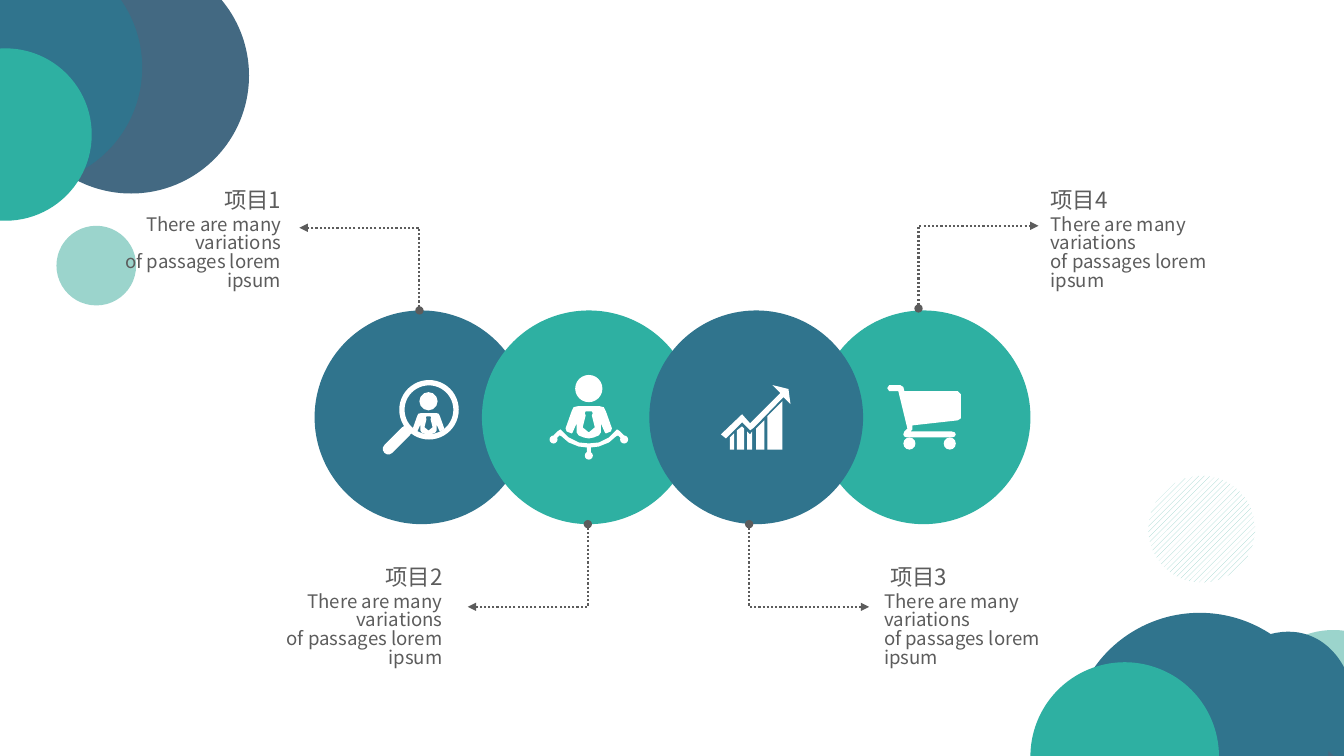
from lxml import etree
from pptx import Presentation
from pptx import util as u
from pptx.dml.color import RGBColor
from pptx.enum import dml, shapes, text
from pptx.oxml import ns

COLORS = {"mint": "9BD4CC", "blue": "30748D", "slate": "436982",
          "teal": "2EB0A2", "white": "FFFFFF", "ink": "5C5C5C"}
FONT = "Noto Sans CJK SC"
BODY = "There are many variations\nof passages lorem ipsum"
OVAL = shapes.MSO_SHAPE.OVAL
DISC, DISC_LEFT, DISC_TOP, DISC_STEP = 2.12, 3.12, 3.08, 1.66

# Left, top, width, height, rotation, colour
TOP_CIRCLES = [
    (0.56, 2.24, 0.79, 0.79, 0, "mint"), (-0.19, -1.29, 1.51, 1.51, 0, "mint"),
    (-0.51, -0.61, 2.16, 1.51, 47.3, "blue"), (0.13, -0.42, 2.34, 2.34, 0, "slate"),
    (-0.93, -0.5, 2.34, 2.34, 0, "blue"), (-0.8, 0.48, 1.71, 1.71, 0, "teal")]
BOTTOM_CIRCLES = [
    (12.4, 6.25, 1.65, 1.65, 0, "mint"), (11.39, 6.59, 2.37, 1.65, 110.1, "blue"),
    (11.07, 7.15, 2.56, 2.56, 0, "slate"), (10.62, 6.08, 2.56, 2.56, 0, "blue"),
    (10.22, 6.57, 1.87, 1.87, 0, "teal")]

# Icon outlines in inches; the mirrored ones list their right half only
TORSO = [(0.11, 0.31), (0.15, 0.32), (0.17, 0.36), (0.23, 0.53), (0.22, 0.56),
         (0.17, 0.58), (0.16, 0.57), (0.12, 0.48), (0.12, 0.57), (0.1, 0.6),
         (0.05, 0.62), (0, 0.63)]
TIE = [(0.03, 0.36), (0.04, 0.38), (0.03, 0.4), (0.06, 0.52), (0, 0.57)]
BOW = [(0, 0.26), (0.1, 0.25), (0.2, 0.2), (0.26, 0.14), (0.28, 0.12), (0.31, 0.14),
       (0.35, 0.18), (0.33, 0.22), (0.29, 0.18), (0.27, 0.19), (0.2, 0.25),
       (0.1, 0.29), (0.02, 0.3), (0.02, 0.36)]
BAR_TOPS = [
    [(-0.26, 0.2), (-0.22, 0.16)],
    [(-0.19, 0.13), (-0.14, 0.09), (-0.12, 0.11)],
    [(-0.09, 0.14), (-0.06, 0.17), (-0.04, 0.14)],
    [(0, 0.11), (0.08, 0.03)],
    [(0.11, -0.01), (0.26, -0.16)]]
ARROW = [(0.27, -0.2), (0.34, -0.13), (0.32, -0.28), (0.16, -0.32), (0.24, -0.24),
         (-0.06, 0.06), (-0.14, -0.03), (-0.35, 0.17), (-0.3, 0.21), (-0.14, 0.05),
         (-0.06, 0.13), (-0.02, 0.1)]
CART = [(0.37, 0.01), (0.34, 0.03), (-0.11, 0.08), (-0.11, 0.12), (-0.13, 0.14),
        (0.28, 0.14), (0.31, 0.15), (0.32, 0.17), (0.31, 0.19), (0.28, 0.2),
        (-0.16, 0.2), (-0.19, 0.19), (-0.2, 0.17), (-0.19, 0.14), (-0.16, 0.11),
        (-0.25, -0.26), (-0.34, -0.26), (-0.36, -0.29), (-0.34, -0.32),
        (-0.23, -0.32), (-0.2, -0.3), (-0.19, -0.26), (0.34, -0.26), (0.37, -0.23)]


def color(name):
    return RGBColor.from_string(COLORS[name])


def paint(shape, name):
    shape.shadow.inherit = False
    shape.fill.solid()
    shape.fill.fore_color.rgb = color(name)
    shape.line.fill.background()
    return shape


def add_figure(parent, kind, left, top, width, height, name="white", rotation=0):
    box = [u.Inches(value) for value in (left, top, width, height)]
    shape = paint(parent.add_shape(kind, *box), name)
    shape.rotation = rotation
    return shape


def mirror(half):
    return half + [(-x, y) for x, y in reversed(half)]


def add_outline(parent, x, y, contours, scale=1):
    """Draw white closed contours placed around the point x, y."""
    rings = [[(u.Inches(x + dx * scale), u.Inches(y + dy * scale)) for dx, dy in ring]
             for ring in contours]
    builder = parent.build_freeform(*rings[0][0], scale=1.0)
    for number, ring in enumerate(rings):
        if number:
            builder.move_to(*ring[0])
        builder.add_line_segments(ring[1:], close=True)
    paint(builder.convert_to_shape(), "white")


def add_person(parent, x, top, scale=1):
    head = 0.27 * scale
    add_figure(parent, OVAL, x - head / 2, top, head, head)
    add_outline(parent, x, top, [mirror(TORSO), mirror(TIE)], scale)


# Icons, each placed around the centre of its disc
def lens_icon(parent, x, y):
    ring = add_figure(parent, shapes.MSO_SHAPE.DONUT, x - 0.22, y - 0.37, 0.59, 0.59)
    ring.adjustments[0] = 0.09
    handle = add_figure(parent, shapes.MSO_SHAPE.ROUNDED_RECTANGLE,
                        x - 0.42, y + 0.17, 0.36, 0.11, rotation=-45)
    handle.adjustments[0] = 0.5
    add_person(parent, x + 0.07, y - 0.25, 0.67)


def leader_icon(parent, x, y):
    add_person(parent, x, y - 0.42)
    add_outline(parent, x, y, [mirror(BOW)])
    for dx, dy in ((-0.35, 0.22), (0, 0.38), (0.35, 0.22)):
        add_figure(parent, OVAL, x + dx - 0.04, y + dy - 0.04, 0.08, 0.08)


def growth_icon(parent, x, y):
    for tops in BAR_TOPS:
        base = [(tops[-1][0], 0.32), (tops[0][0], 0.32)]
        add_outline(parent, x, y, [tops + base])
    add_outline(parent, x, y, [ARROW])


def cart_icon(parent, x, y):
    add_outline(parent, x, y, [CART])
    for dx in (-0.2, 0.2):
        add_figure(parent, OVAL, x + dx, y + 0.2, 0.12, 0.12)


# Heading, icon, disc colour, connector start and reach, text corner, side, indent
ITEMS = [
    ("项目1", lens_icon, "blue", (4.16, 3.08), (-1.19, -0.82), (0.81, 1.89), "r", 0.1),
    ("项目2", leader_icon, "teal", (5.83, 5.2), (-1.19, 0.82), (2.41, 5.63), "r", 0.1),
    ("项目3", growth_icon, "blue", (7.43, 5.2), (1.19, 0.82), (8.77, 5.63), "l", 0.06),
    ("项目4", cart_icon, "teal", (9.11, 3.06), (1.19, -0.82), (10.42, 1.89), "l", 0)]


def add_circles(slide, circles):
    group = slide.shapes.add_group_shape().shapes
    for left, top, width, height, rotation, name in circles:
        add_figure(group, OVAL, left, top, width, height, name, rotation)
    return group


def add_disc(slide, number, name):
    left = DISC_LEFT + number * DISC_STEP
    add_figure(slide.shapes, OVAL, left, DISC_TOP, DISC, DISC, name)


def add_pointer(slide, start, reach):
    ends = [u.Inches(value) for value in
            (*start, start[0] + reach[0], start[1] + reach[1])]
    pointer = slide.shapes.add_connector(shapes.MSO_CONNECTOR.ELBOW, *ends)
    pointer.line.color.rgb = color("ink")
    pointer.line.width = u.Pt(1.5)
    pointer.line.dash_style = dml.MSO_LINE.ROUND_DOT
    # Bend at the start, arrowheads, no shadow
    guides = pointer._element.spPr.find(ns.qn("a:prstGeom")).get_or_add_avLst()
    etree.SubElement(guides, ns.qn("a:gd"), name="adj1", fmla="val 0")
    line = pointer.line._get_or_add_ln()
    etree.SubElement(line, ns.qn("a:headEnd"), type="oval")
    etree.SubElement(line, ns.qn("a:tailEnd"), type="triangle")
    etree.SubElement(pointer._element.spPr, ns.qn("a:effectLst"))


def write(para, words, size, side, indent=0):
    para.text = words
    para.alignment = text.PP_ALIGN.RIGHT if side == "r" else text.PP_ALIGN.LEFT
    para.line_spacing = 0.83
    para.space_before = u.Pt(2.7)
    if indent:
        margin = "marR" if side == "r" else "marL"
        para._p.get_or_add_pPr().set(margin, str(u.Inches(indent)))
    for span in para.runs:
        span.font.size = u.Pt(size)
        span.font.name = FONT
        span.font.color.rgb = color("ink")
        etree.SubElement(span.font._element, ns.qn("a:ea"), typeface=FONT)


def add_caption(slide, corner, heading, side, indent):
    box = slide.shapes.add_textbox(*map(u.Inches, (*corner, 2.08, 1.21)))
    frame = box.text_frame
    frame.word_wrap = True
    frame.margin_left = frame.margin_right = frame.margin_top = frame.margin_bottom = 0
    write(frame.paragraphs[0], heading, size=16, side=side, indent=indent)
    write(frame.add_paragraph(), BODY, size=13.3, side=side)


def main():
    deck = Presentation()
    deck.slide_width, deck.slide_height = u.Inches(13.33), u.Inches(7.5)
    slide = deck.slides.add_slide(deck.slide_layouts[6])

    # Corner decoration
    add_circles(slide, TOP_CIRCLES)
    corner = add_circles(slide, BOTTOM_CIRCLES)
    hatched = add_figure(corner, OVAL, 11.39, 4.72, 1.06, 1.06)
    hatched.fill.patterned()
    hatched.fill.pattern = dml.MSO_PATTERN.WIDE_UPWARD_DIAGONAL
    hatched.fill.fore_color.rgb = color("mint")
    hatched.fill.back_color.rgb = color("white")

    # Chain of discs: the last lies behind the others
    for number in (3, 0, 1, 2):
        add_disc(slide, number, ITEMS[number][2])

    # Icons, pointers and captions
    for number, (heading, icon, _, start, reach, place, side, indent) in enumerate(ITEMS):
        group = slide.shapes.add_group_shape().shapes
        icon(group, DISC_LEFT + number * DISC_STEP + DISC / 2, DISC_TOP + DISC / 2)
        add_pointer(slide, start, reach)
        add_caption(slide, place, heading, side, indent)
    deck.save("out.pptx")


if __name__ == "__main__":
    main()
